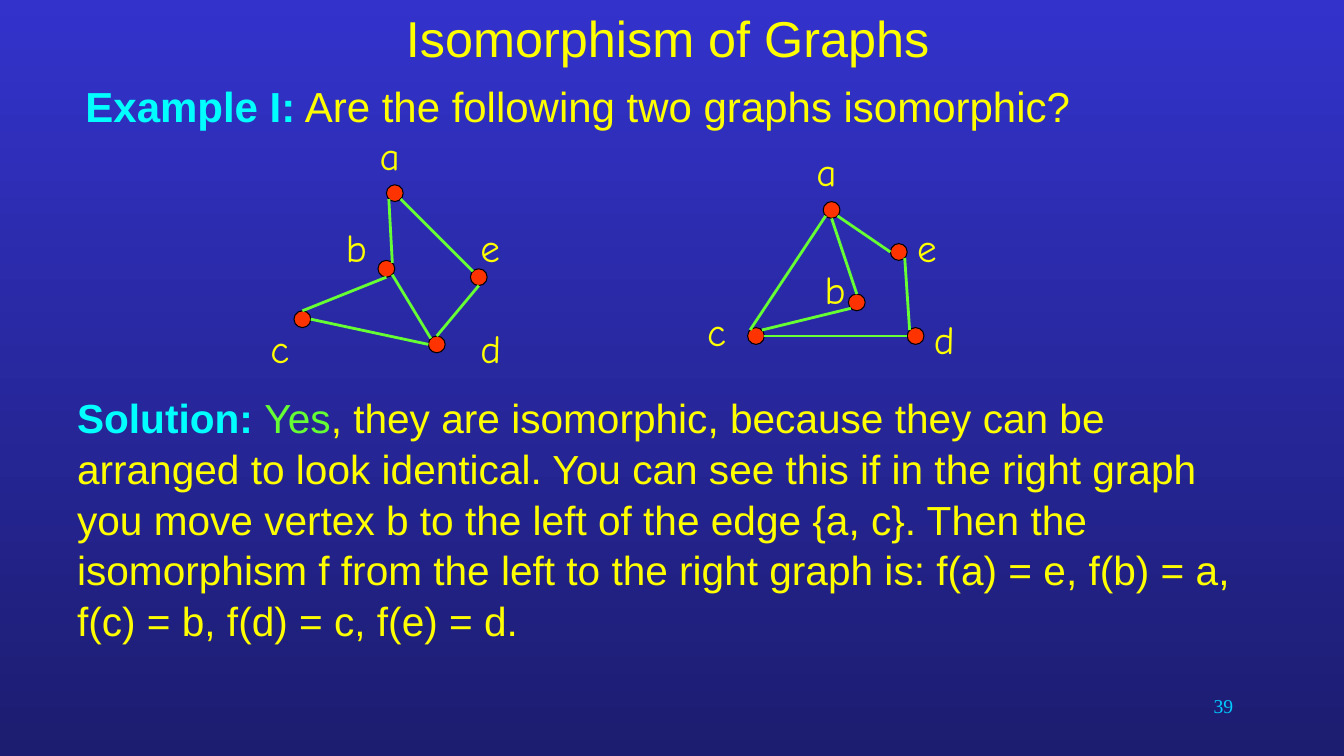
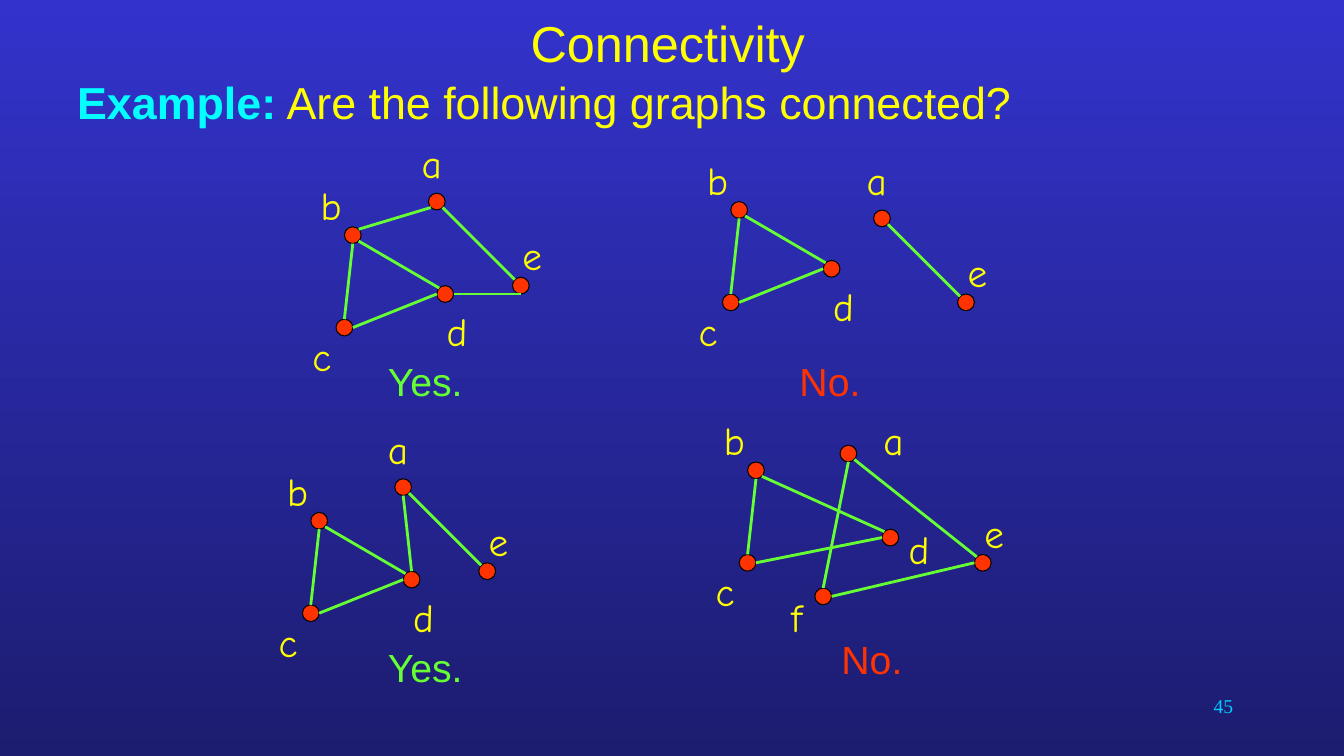
from math import hypot

from lxml import etree
from pptx import Presentation
from pptx import util as u
from pptx.dml.color import RGBColor
from pptx.enum import shapes, text
from pptx.oxml import ns

YELLOW = RGBColor(0xFF, 0xFF, 0x00)
CYAN = RGBColor(0x00, 0xFF, 0xFF)
GREEN = RGBColor(0x66, 0xFF, 0x33)
RED = RGBColor(0xFF, 0x33, 0x00)
BLACK = RGBColor(0x00, 0x00, 0x00)
PAGE_BLUE = RGBColor(0x00, 0xCC, 0xFF)
TOP_BLUE = RGBColor(0x33, 0x33, 0xCC)
BOTTOM_BLUE = RGBColor(0x1C, 0x1C, 0x70)

EMU_PER_PX = 9525
VERTEX = 16
COMPASS = {
    "N": (0, -1), "NE": (1, -1), "E": (1, 0), "SE": (1, 1),
    "S": (0, 1), "SW": (-1, 1), "W": (-1, 0), "NW": (-1, -1),
}


def px(length):
    return u.Emu(round(length * EMU_PER_PX))


class Deck:
    body_font = "Arial"
    label_font = "Comic Neue"
    page_font = "Times New Roman"

    def __init__(self):
        self.presentation = Presentation()
        self.presentation.slide_width = px(1280)
        self.presentation.slide_height = px(720)
        fill = self.presentation.slide_master.background.fill
        fill.gradient()
        fill.gradient_angle = 270
        for stop, color in zip(fill.gradient_stops, (TOP_BLUE, BOTTOM_BLUE)):
            stop.color.rgb = color
        self.slide = None

    def style(self, run, size, color, font=body_font, bold=False):
        run.font.size = u.Pt(size)
        run.font.color.rgb = color
        run.font.name = font
        run.font.bold = bold

    def add_slide(self, title, title_height, number):
        layout = self.presentation.slide_layouts[5]
        self.slide = self.presentation.slides.add_slide(layout)
        shape = self.slide.shapes.title
        shape.left, shape.top = px(184), px(0)
        shape.width, shape.height = px(904), px(title_height)
        frame = shape.text_frame
        frame.text = title
        frame.auto_size = text.MSO_AUTO_SIZE.NONE
        frame.vertical_anchor = text.MSO_ANCHOR.MIDDLE
        paragraph = frame.paragraphs[0]
        paragraph.alignment = text.PP_ALIGN.CENTER
        self.style(paragraph.runs[0], 36, YELLOW)
        page = self.text_box((918, 656, 266, 48), [(number, PAGE_BLUE, False)],
                             14, font=self.page_font, before=0)
        page.alignment = text.PP_ALIGN.RIGHT

    def text_box(self, box, parts, size, font=body_font, before=3,
                 line_spacing=None, parent=None):
        owner = parent or self.slide
        shape = owner.shapes.add_textbox(*map(px, box))
        frame = shape.text_frame
        frame.word_wrap = True
        paragraph = frame.paragraphs[0]
        paragraph.space_before = u.Pt(before)
        paragraph.line_spacing = line_spacing
        for words, color, bold in parts:
            run = paragraph.add_run()
            run.text = words
            self.style(run, size, color, font, bold)
        return paragraph

    def answer(self, left, top, words, color):
        self.text_box((left, top, 96, 56), [(words, color, False)], 28)

    def vertex(self, group, left, top):
        shape = group.shapes.add_shape(
            shapes.MSO_SHAPE.FLOWCHART_CONNECTOR,
            px(left), px(top), px(VERTEX), px(VERTEX))
        shape.shadow.inherit = False
        shape.fill.solid()
        shape.fill.fore_color.rgb = RED
        shape.line.color.rgb = BLACK
        shape.line.width = u.Pt(0.75)

    def edge(self, group, start, end):
        line = group.shapes.add_connector(
            shapes.MSO_CONNECTOR.STRAIGHT, *map(px, start + end))
        line.line.color.rgb = GREEN
        line.line.width = u.Pt(2)
        etree.SubElement(line._element.spPr, ns.qn("a:effectLst"))

    def graph(self, vertices, edges):
        group = self.slide.shapes.add_group_shape()

        def site(end):
            left, top = vertices[end[0]][:2]
            dx, dy = COMPASS[end[1:]]
            radius = VERTEX / 2
            reach = radius / hypot(dx, dy)
            return left + radius + reach * dx, top + radius + reach * dy

        for name, (left, top, label_left, label_top) in vertices.items():
            self.vertex(group, left, top)
            self.text_box((label_left, label_top, 64, 55),
                          [(name, YELLOW, False)], 28, font=self.label_font,
                          before=4, parent=group)
        for edge in edges.split(", "):
            start, end = edge.split()
            self.edge(group, site(start), site(end))


def isomorphism_slide(deck):
    deck.add_slide("Isomorphism of Graphs", 72, "39")
    deck.text_box((72, 72, 1048, 56), [
        ("Example I:", CYAN, True),
        (" Are the following two graphs isomorphic?", YELLOW, False),
    ], 30)
    deck.graph({
        "a": (368, 176, 352, 120),
        "b": (360, 248, 320, 208),
        "c": (280, 296, 248, 304),
        "d": (408, 320, 448, 304),
        "e": (448, 256, 448, 208),
    }, "dN eS, dW cE, cN bS, bNE aSW, aSE eNW, bSE dNW")
    deck.graph({
        "a": (784, 192, 768, 136),
        "b": (808, 280, 776, 248),
        "c": (712, 312, 664, 288),
        "d": (864, 312, 880, 296),
        "e": (848, 232, 864, 208),
    }, "cE dW, cNE bSW, bN aS, aSE eW, eSE dNW, aSW cNW")
    deck.text_box((64, 368, 1144, 192), [
        ("Solution: ", CYAN, True),
        ("Yes", GREEN, False),
        (", they are isomorphic, because they can be arranged to look "
         "identical. You can see this if in the right graph you move vertex b "
         "to the left of the edge {a, c}. Then the isomorphism f from the "
         "left to the right graph is: f(a) = e, f(b) = a, f(c) = b, "
         "f(d) = c, f(e) = d.", YELLOW, False),
    ], 29, line_spacing=1.04)


def connectivity_slide(deck):
    deck.add_slide("Connectivity", 80, "45")
    deck.text_box((64, 72, 1168, 56), [
        ("Example:", CYAN, True),
        (" Are the following graphs connected?", YELLOW, False),
    ], 32, line_spacing=0.9)
    two_parts = "dW cE, cN bS, aSE eNW, bSE dNW"
    deck.graph({
        "a": (408, 184, 392, 128),
        "b": (328, 216, 296, 168),
        "c": (320, 304, 288, 312),
        "d": (416, 272, 416, 288),
        "e": (488, 264, 488, 216),
    }, two_parts + ", dE eS, bNE aSW")
    deck.answer(360, 336, "Yes.", GREEN)
    deck.graph({
        "a": (832, 200, 816, 144),
        "b": (696, 192, 664, 144),
        "c": (688, 280, 656, 288),
        "d": (784, 248, 784, 264),
        "e": (912, 280, 912, 232),
    }, two_parts)
    deck.answer(752, 336, "No.", RED)
    deck.graph({
        "a": (376, 456, 360, 400),
        "b": (296, 488, 264, 440),
        "c": (288, 576, 256, 584),
        "d": (384, 544, 384, 560),
        "e": (456, 536, 456, 488),
    }, two_parts + ", dN aS")
    deck.answer(360, 608, "Yes.", GREEN)
    deck.graph({
        "a": (800, 424, 832, 392),
        "b": (712, 440, 680, 392),
        "c": (704, 528, 672, 536),
        "d": (840, 504, 856, 496),
        "e": (928, 528, 928, 480),
        "f": (776, 560, 744, 560),
    }, two_parts + ", fN aS, fE eW")
    deck.answer(792, 600, "No.", RED)


def main():
    deck = Deck()
    isomorphism_slide(deck)
    connectivity_slide(deck)
    deck.presentation.save("out.pptx")


if __name__ == "__main__":
    main()
